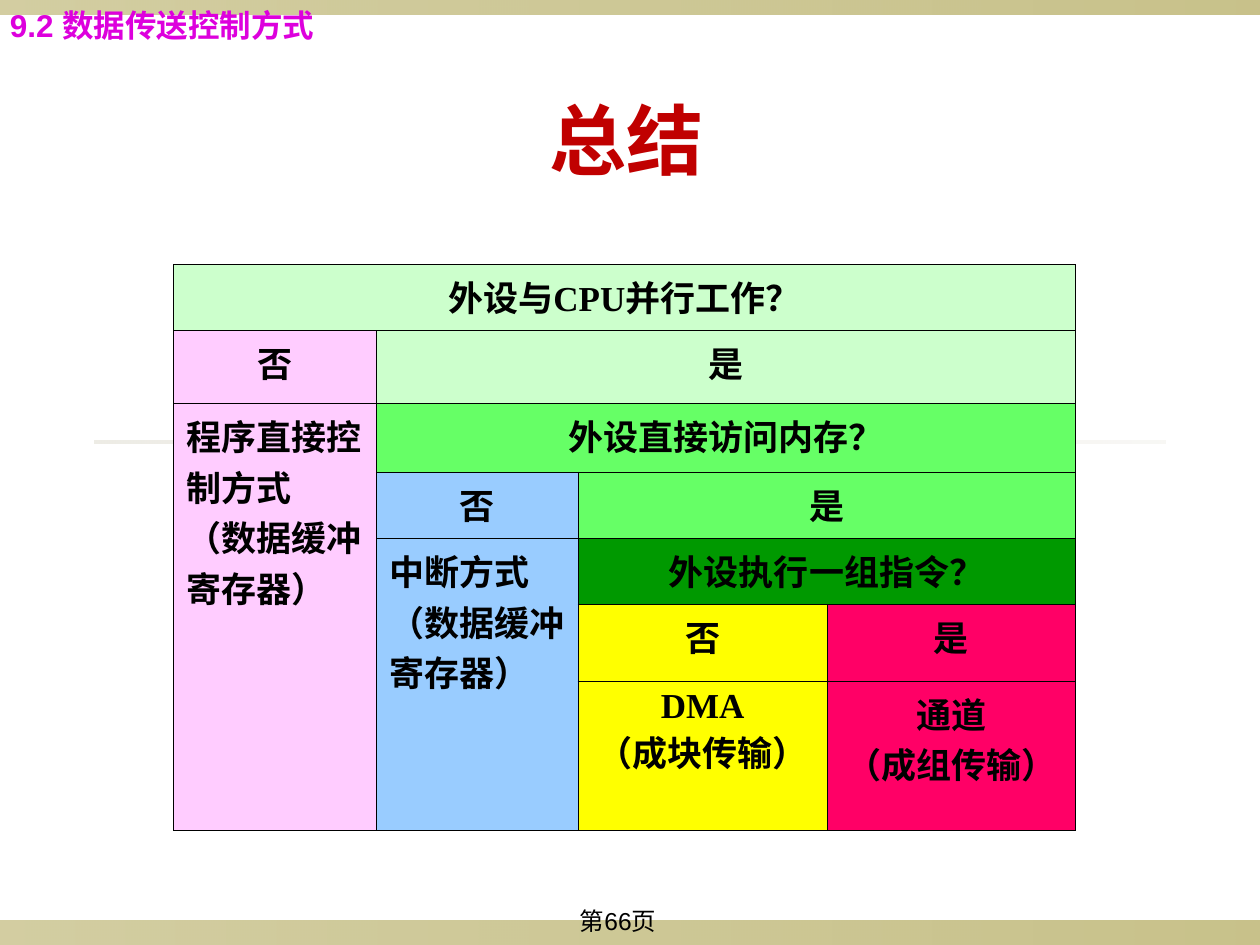
from dataclasses import dataclass

from lxml.etree import SubElement
from pptx import Presentation
from pptx.dml.color import RGBColor
from pptx.enum.shapes import MSO_SHAPE
from pptx.enum.text import MSO_ANCHOR, PP_ALIGN
from pptx.oxml import parse_xml
from pptx.oxml.ns import nsdecls, qn
from pptx.util import Cm, Pt


@dataclass(frozen=True)
class Theme:
    """Colours, fonts and type sizes of the slide."""
    band: str = "918415"
    rule: str = "DCD9CC"
    ink: str = "000000"
    title: str = "C00000"
    section: str = "DD00DD"
    mint: str = "CCFFCC"
    pink: str = "FFCCFF"
    green: str = "66FF66"
    blue: str = "99CCFF"
    forest: str = "009900"
    yellow: str = "FFFF00"
    red: str = "FF0066"
    sans: str = "Arial"
    heading: str = "Roboto"
    serif: str = "Times New Roman"
    title_size: int = 44
    section_size: int = 18
    table_size: int = 20
    page_size: int = 14
    border: float = 0.45


THEME = Theme()
COLS = (4.09, 4.06, 5.03, 5)
ROWS = (1.33, 1.47, 1.39, 1.33, 1.33, 1.55, 3)
CENTER, LEFT = PP_ALIGN.CENTER, PP_ALIGN.LEFT

# first row, first column, last row, last column, text, fill, alignment
CELLS = (
    (0, 0, 0, 3, "外设与CPU并行工作？", THEME.mint, CENTER),
    (1, 0, 1, 0, "否", THEME.pink, CENTER),
    (1, 1, 1, 3, "是", THEME.mint, CENTER),
    (2, 0, 6, 0, "程序直接控制方式\n（数据缓冲寄存器）", THEME.pink, LEFT),
    (2, 1, 2, 3, "外设直接访问内存？", THEME.green, CENTER),
    (3, 1, 3, 1, "否", THEME.blue, CENTER),
    (3, 2, 3, 3, "是", THEME.green, CENTER),
    (4, 1, 6, 1, "中断方式\n（数据缓冲寄存器）", THEME.blue, LEFT),
    (4, 2, 4, 3, "外设执行一组指令？", THEME.forest, CENTER),
    (5, 2, 5, 2, "否", THEME.yellow, CENTER),
    (5, 3, 5, 3, "是", THEME.red, CENTER),
    (6, 2, 6, 2, "DMA\n（成块传输）", THEME.yellow, CENTER),
    (6, 3, 6, 3, "通道\n（成组传输）", THEME.red, CENTER),
)


def write(tf, text, font, size, color, bold=True, align=LEFT):
    """Fill a text frame and format every run alike."""
    tf.text = text
    for p in tf.paragraphs:
        p.alignment = align
        for r in p.runs:
            r.font.name = font
            r.font.size = Pt(size)
            r.font.bold = bold
            r.font.color.rgb = RGBColor.from_string(color)


def add_band(s, box, color, opacities):
    """Add a borderless bar whose opacity changes from left to right."""
    sp = s.shapes.add_shape(MSO_SHAPE.RECTANGLE, *map(Cm, box))
    sp.shadow.inherit = False
    sp.line.fill.background()
    sp.fill.gradient()
    sp.fill.gradient_angle = 0
    for stop in sp.fill.gradient_stops:
        stop.color.rgb = RGBColor.from_string(color)
    for clr, opacity in zip(sp._element.iter(qn("a:srgbClr")), opacities):
        SubElement(clr, qn("a:alpha")).set("val", str(opacity * 1000))


def add_text(s, box, text, font, size, color, bold=True, align=CENTER, wrap=True,
             anchor=MSO_ANCHOR.TOP):
    """Add a text box."""
    tf = s.shapes.add_textbox(*map(Cm, box)).text_frame
    tf.word_wrap = wrap
    tf.vertical_anchor = anchor
    write(tf, text, font, size, color, bold, align)


def add_borders(cell):
    """Draw a thin line on all four sides of a cell."""
    tcPr = cell._tc.get_or_add_tcPr()
    for i, side in enumerate("LRTB"):
        tcPr.insert(i, parse_xml(
            f'<a:ln{side} {nsdecls("a")} w="{Pt(THEME.border)}"><a:solidFill>'
            f'<a:srgbClr val="{THEME.ink}"/></a:solidFill></a:ln{side}>'))


def add_decision_table(s):
    """Add the table that narrows down the transfer methods."""
    table = s.shapes.add_table(len(ROWS), len(COLS), Cm(3.5), Cm(5.33),
                               Cm(sum(COLS)), Cm(sum(ROWS))).table
    table.first_row = table.horz_banding = False
    for col, width in zip(table.columns, COLS):
        col.width = Cm(width)
    for row, height in zip(table.rows, ROWS):
        row.height = Cm(height)
    for top, left, bottom, right, text, fill, align in CELLS:
        origin = table.cell(top, left)
        if (top, left) != (bottom, right):
            origin.merge(table.cell(bottom, right))
        write(origin.text_frame, text, THEME.serif, THEME.table_size, THEME.ink, align=align)
        for row in range(top, bottom + 1):
            for col in range(left, right + 1):
                cell = table.cell(row, col)
                cell.fill.solid()
                cell.fill.fore_color.rgb = RGBColor.from_string(fill)
                add_borders(cell)


def main():
    """Build the slide and save it."""
    prs = Presentation()
    prs.slide_width, prs.slide_height = Cm(25.4), Cm(19.05)
    s = prs.slides.add_slide(prs.slide_layouts[6])
    add_band(s, (0, 18.55, 25.4, 0.5), THEME.band, (40, 50))
    add_band(s, (0, 0, 25.4, 0.3), THEME.band, (40, 50))
    add_band(s, (1.9, 8.88, 21.6, 0.06), THEME.rule, (50, 20))
    add_text(s, (9.5, 18.14, 5.92, 0.91), "第66页", THEME.sans, THEME.page_size,
             THEME.ink, bold=False)
    add_text(s, (1.2, 1.2, 22.86, 3.18), "总结", THEME.heading, THEME.title_size,
             THEME.title, anchor=MSO_ANCHOR.MIDDLE)
    add_text(s, (-0.05, 0, 6.78, 1.02), "9.2 数据传送控制方式", THEME.sans,
             THEME.section_size, THEME.section, align=LEFT, wrap=False)
    add_decision_table(s)
    prs.save("out.pptx")


if __name__ == "__main__":
    main()
